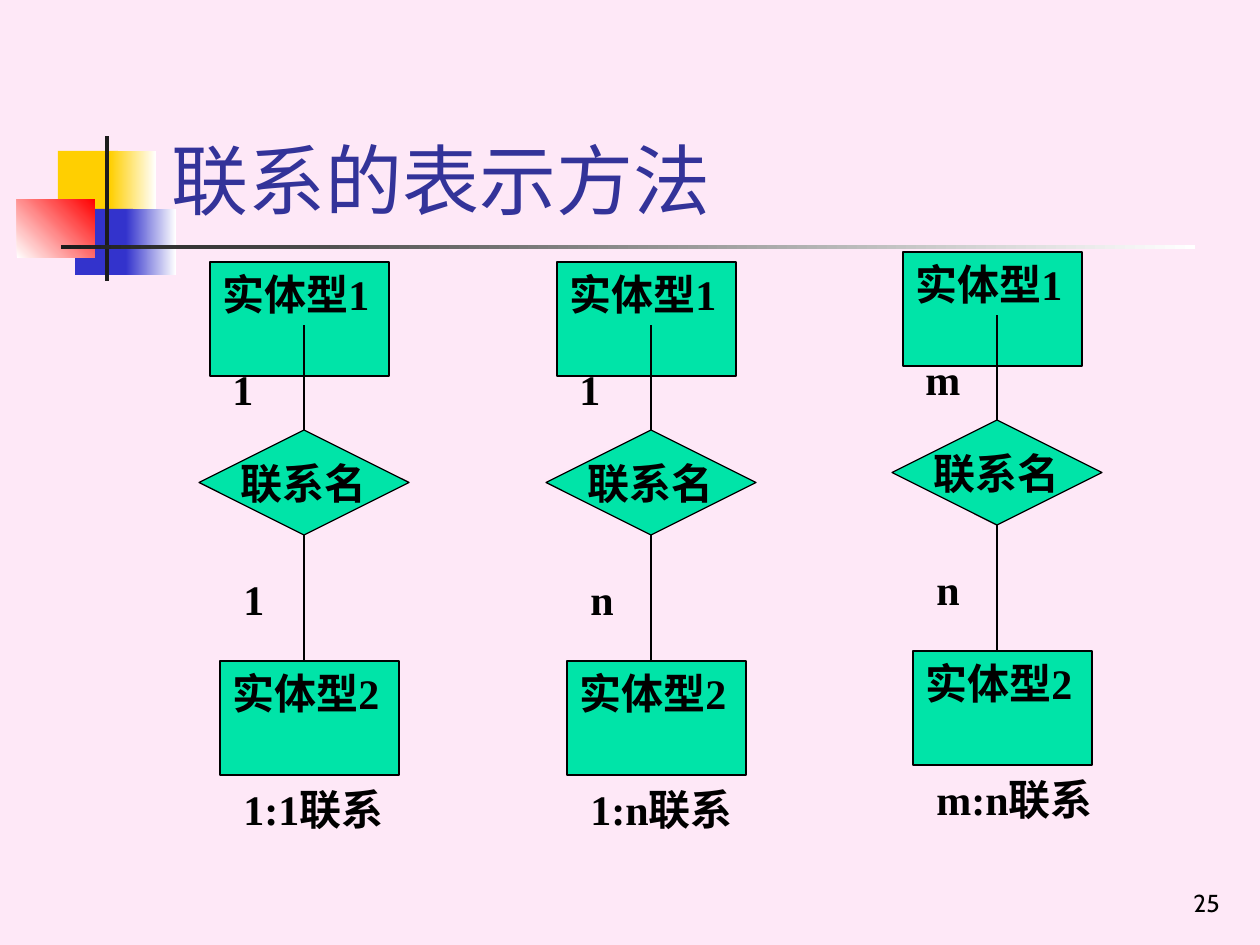
import dataclasses
import typing

import lxml.etree
import pptx
import pptx.dml.color
import pptx.enum.shapes
import pptx.enum.text
import pptx.oxml.ns
import pptx.util

Shape = pptx.enum.shapes.MSO_SHAPE
Align = pptx.enum.text.PP_ALIGN
Anchor = pptx.enum.text.MSO_ANCHOR
AutoSize = pptx.enum.text.MSO_AUTO_SIZE
EMU_PER_PIXEL = 914400 / 126


@dataclasses.dataclass(frozen=True)
class Theme:
    background: str = "FEE8F7"
    yellow: str = "FFCF01"
    blue: str = "3333CC"
    red: str = "FF0000"
    dark: str = "1C1C1C"
    white: str = "FFFFFF"
    green: str = "00E4A8"
    black: str = "000000"
    title: str = "333399"
    title_size: int = 44
    body_size: int = 24
    number_size: int = 14
    space_before: int = 15
    line_width: float = 0.74
    heading_font: str = "Cabin"
    body_font: str = "Times New Roman"


class Area(typing.NamedTuple):
    left: int
    top: int
    width: int
    height: int


class Ornament(typing.NamedTuple):
    area: Area
    colors: tuple[str, ...]
    angle: int = 0


class Relation(typing.NamedTuple):
    left: int
    top: int
    upper_label: str
    lower_label: str
    caption: str


class Part(typing.NamedTuple):
    area: Area
    text: str
    kind: typing.Any = None


THEME = Theme()
ORNAMENTS = [
    Ornament(Area(58, 151, 60, 66), (THEME.yellow,)),
    Ornament(Area(110, 151, 46, 66), (THEME.yellow, THEME.white)),
    Ornament(Area(75, 209, 58, 66), (THEME.blue,)),
    Ornament(Area(126, 209, 50, 66), (THEME.blue, THEME.white)),
    Ornament(Area(17, 199, 78, 59), (THEME.white, THEME.red), 45),
    Ornament(Area(105, 136, 4, 145), (THEME.dark,)),
    Ornament(Area(61, 245, 1134, 4), (THEME.dark, THEME.white)),
]
RELATIONS = [
    Relation(199, 262, "1", "1", "1:1联系"),
    Relation(892, 252, "m", "n", "m:n联系"),
    Relation(546, 262, "1", "n", "1:n联系"),
]


def emu(pixels: float) -> int:
    return round(pixels * EMU_PER_PIXEL)


def rgb(color: str) -> pptx.dml.color.RGBColor:
    return pptx.dml.color.RGBColor.from_string(color)


def draw_ornament(slide, ornament: Ornament) -> None:
    block = slide.shapes.add_shape(Shape.RECTANGLE, *map(emu, ornament.area))
    block.shadow.inherit = False
    block.line.fill.background()
    if len(ornament.colors) == 1:
        block.fill.solid()
        block.fill.fore_color.rgb = rgb(ornament.colors[0])
        return
    block.fill.gradient()
    block.fill.gradient_angle = ornament.angle
    for stop, color in zip(block.fill.gradient_stops, ornament.colors):
        stop.color.rgb = rgb(color)


def write(box, text: str, size: int, font: str, color: str,
          align=Align.LEFT, anchor=Anchor.TOP, bold: bool = False):
    frame = box.text_frame
    frame.text = text
    frame.word_wrap = True
    frame.vertical_anchor = anchor
    para = frame.paragraphs[0]
    para.alignment = align
    span = para.runs[0]
    span.font.size = pptx.util.Pt(size)
    span.font.name = font
    span.font.bold = bold
    span.font.color.rgb = rgb(color)
    return frame


def draw_part(slide, part: Part) -> None:
    position = tuple(map(emu, part.area))
    if part.kind is None:
        box = slide.shapes.add_textbox(*position)
    else:
        box = slide.shapes.add_shape(part.kind, *position)
        box.shadow.inherit = False
        box.fill.solid()
        box.fill.fore_color.rgb = rgb(THEME.green)
        box.line.color.rgb = rgb(THEME.black)
        box.line.width = pptx.util.Pt(THEME.line_width)
    diamond = part.kind == Shape.DIAMOND
    frame = write(box, part.text, THEME.body_size, THEME.body_font, THEME.black,
                  Align.CENTER if diamond else Align.LEFT,
                  Anchor.MIDDLE if diamond else Anchor.TOP, bold=True)
    if diamond:
        frame.word_wrap = False
    else:
        frame.auto_size = AutoSize.SHAPE_TO_FIT_TEXT
        frame.paragraphs[0].space_before = pptx.util.Pt(THEME.space_before)


def draw_line(slide, x: int, start: int, end: int) -> None:
    line = slide.shapes.add_connector(
        pptx.enum.shapes.MSO_CONNECTOR.STRAIGHT, emu(x), emu(start), emu(x), emu(end))
    line.line.color.rgb = rgb(THEME.black)
    line.line.width = pptx.util.Pt(THEME.line_width)
    lxml.etree.SubElement(line._element.spPr, pptx.oxml.ns.qn("a:effectLst"))


def draw_relation(slide, relation: Relation) -> None:
    left, top = relation.left, relation.top
    parts = [
        Part(Area(left + 11, top, 179, 114), "实体型1", Shape.RECTANGLE),
        Part(Area(left, top + 168, 210, 105), "联系名", Shape.DIAMOND),
        Part(Area(left + 21, top + 399, 179, 114), "实体型2", Shape.RECTANGLE),
        Part(Area(left + 21, top + 95, 53, 63), relation.upper_label),
        Part(Area(left + 32, top + 305, 53, 63), relation.lower_label),
        Part(Area(left + 32, top + 515, 189, 63), relation.caption),
    ]
    for part in parts[:3]:
        draw_part(slide, part)
    draw_line(slide, left + 105, top + 168, top + 63)
    draw_line(slide, left + 105, top + 273, top + 399)
    for part in parts[3:]:
        draw_part(slide, part)


def main() -> None:
    deck = pptx.Presentation()
    deck.slide_width, deck.slide_height = emu(1260), emu(945)
    slide = deck.slides.add_slide(deck.slide_layouts[6])
    slide.background.fill.solid()
    slide.background.fill.fore_color.rgb = rgb(THEME.background)
    for ornament in ORNAMENTS:
        draw_ornament(slide, ornament)
    number = slide.shapes.add_textbox(*map(emu, Area(970, 861, 262, 63)))
    write(number, "25", THEME.number_size, THEME.heading_font, THEME.black,
          Align.RIGHT, Anchor.BOTTOM)
    title = slide.shapes.add_textbox(*map(emu, Area(159, 29, 1074, 202)))
    write(title, "联系的表示方法", THEME.title_size, THEME.heading_font, THEME.title,
          anchor=Anchor.BOTTOM)
    for relation in RELATIONS:
        draw_relation(slide, relation)
    deck.save("out.pptx")


main()
